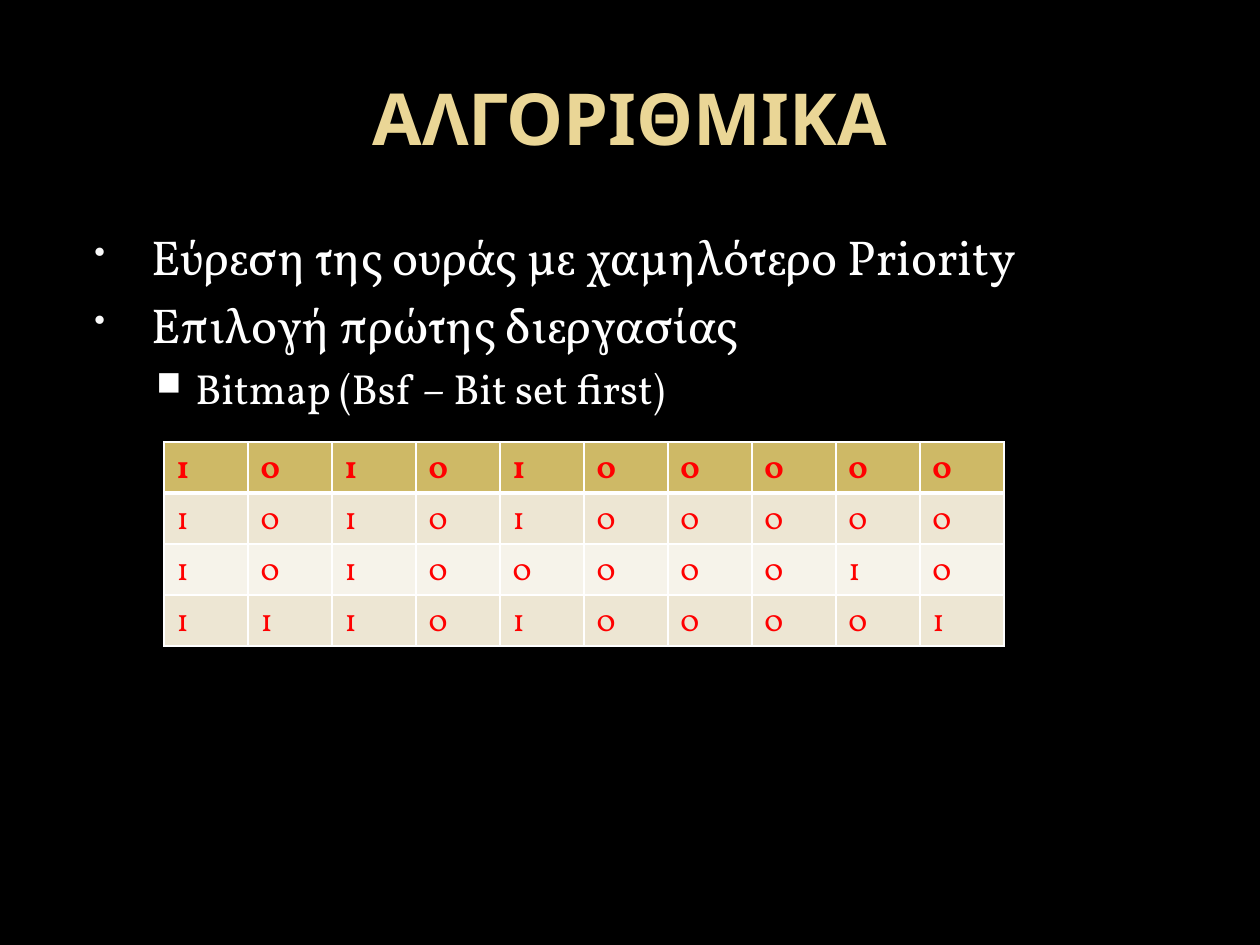
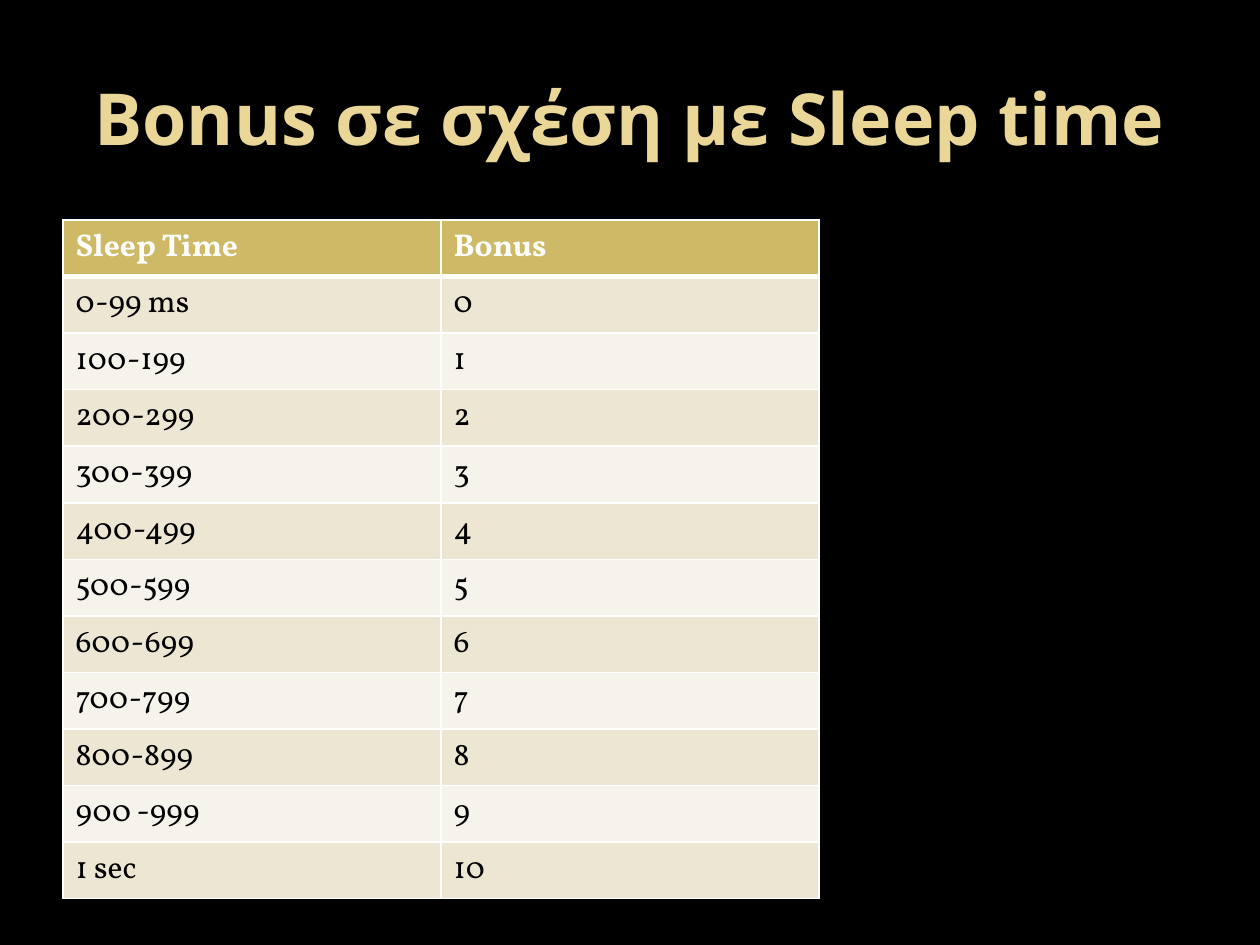
from lxml import etree
from pptx import Presentation
from pptx.dml.color import RGBColor
from pptx.enum.text import MSO_ANCHOR, PP_ALIGN
from pptx.oxml import parse_xml
from pptx.oxml.ns import nsdecls, qn
from pptx.util import Emu, Pt

# Content
BITMAP_TITLE = "ΑΛΓΟΡΙΘΜΙΚΑ"
STEPS = [  # level, text
    (0, "Εύρεση της ουράς με χαμηλότερο Priority"),
    (0, "Επιλογή πρώτης διεργασίας"),
    (1, "Bitmap (Bsf – Bit set first)"),
]
BITMAP = ["1010100000", "1010100000", "1010000010", "1110100001"]

BONUS_TITLE = "Bonus σε σχέση με Sleep time"
SLEEP_TIMES = ["0-99 ms", "100-199", "200-299", "300-399", "400-499", "500-599",
               "600-699", "700-799", "800-899", "900 -999", "1 sec"]
BONUS_ROWS = [("Sleep Time", "Bonus")] + [
    (time, str(bonus)) for bonus, time in enumerate(SLEEP_TIMES)]

# Shared style
BLACK = RGBColor(0x00, 0x00, 0x00)
WHITE = RGBColor(0xFF, 0xFF, 0xFF)
RED = RGBColor(0xFF, 0x00, 0x00)
CREAM = RGBColor(0xEA, 0xD6, 0x96)
GOLD = RGBColor(0xCE, 0xB9, 0x66)
BAND_DARK = RGBColor(0xED, 0xE6, 0xD3)
BAND_LIGHT = RGBColor(0xF6, 0xF3, 0xEA)
BULLET_GREY = RGBColor(0xF9, 0xF9, 0xF9)
TITLE_FONT, BODY_FONT = "Noto Sans", "Vollkorn"

# Per level: text size, left margin px, hanging indent px, bullet, its colour, its size %
LEVELS = [(28, 76, -57, "•", BULLET_GREY, 65),
          (24, 120, -39, "■", WHITE, 80)]

# Layout in px, 126 to the inch
SLIDE_W, SLIDE_H = 1260, 945
MARGIN, BODY_TOP = 63, 220
CONTENT_W = SLIDE_W - 2 * MARGIN
TITLE_BOX = (MARGIN, 38, CONTENT_W, 157)
BODY_BOX = (MARGIN, BODY_TOP, CONTENT_W, 649)
ROW_H = 51


def px(n):
    return Emu(round(n * 914400 / 126))


def style_runs(p, font, size, color, bold=False):
    for r in p.runs:
        r.font.name = font
        r.font.size = Pt(size)
        r.font.color.rgb = color
        r.font.bold = bold


def add_titled_slide(prs, title):
    s = prs.slides.add_slide(prs.slide_layouts[5])
    sp = s.shapes.title
    sp.left, sp.top, sp.width, sp.height = map(px, TITLE_BOX)
    tf = sp.text_frame
    tf.text = title
    tf.vertical_anchor = MSO_ANCHOR.MIDDLE
    p = tf.paragraphs[0]
    p.alignment = PP_ALIGN.CENTER
    style_runs(p, TITLE_FONT, 41, CREAM, bold=True)
    return s


def set_bullet(p, margin, indent, char, color, percent):
    pPr = p._p.get_or_add_pPr()
    pPr.set("marL", str(px(margin)))
    pPr.set("indent", str(px(indent)))
    before = etree.SubElement(pPr, qn("a:spcBef"))
    etree.SubElement(before, qn("a:spcPct"), val="20000")
    clr = etree.SubElement(pPr, qn("a:buClr"))
    etree.SubElement(clr, qn("a:srgbClr"), val=str(color))
    etree.SubElement(pPr, qn("a:buSzPct"), val=str(percent * 1000))
    etree.SubElement(pPr, qn("a:buChar"), char=char)


def add_bullets(s, items):
    tf = s.shapes.add_textbox(*map(px, BODY_BOX)).text_frame
    tf.word_wrap = True
    for i, (level, text) in enumerate(items):
        p = tf.add_paragraph() if i else tf.paragraphs[0]
        p.text = text
        p.level = level
        size, *bullet = LEVELS[level]
        set_bullet(p, *bullet)
        style_runs(p, BODY_FONT, size, WHITE)


def set_borders(cell, top, bottom):
    tcPr = cell._tc.get_or_add_tcPr()
    for side, width in (("L", 1), ("R", 1), ("T", top), ("B", bottom)):
        tcPr.append(parse_xml(
            f'<a:ln{side} {nsdecls("a")} w="{Pt(width)}"><a:solidFill>'
            f'<a:srgbClr val="{WHITE}"/></a:solidFill></a:ln{side}>'))


def add_banded_table(s, rows, left, top, col_w, head_color, text_color):
    n_rows, n_cols = len(rows), len(rows[0])
    table = s.shapes.add_table(n_rows, n_cols, px(left), px(top),
                               px(col_w * n_cols), px(ROW_H * n_rows)).table
    for i, row in enumerate(rows):
        is_head = i == 0
        fill = GOLD if is_head else BAND_DARK if i % 2 else BAND_LIGHT
        for j, text in enumerate(row):
            cell = table.cell(i, j)
            set_borders(cell, top=3 if i == 1 else 1, bottom=3 if is_head else 1)
            cell.fill.solid()
            cell.fill.fore_color.rgb = fill
            cell.text_frame.text = text
            style_runs(cell.text_frame.paragraphs[0], BODY_FONT, 18,
                       head_color if is_head else text_color, bold=is_head)


def main():
    prs = Presentation()
    prs.slide_width, prs.slide_height = px(SLIDE_W), px(SLIDE_H)
    background = prs.slide_master.background.fill
    background.solid()
    background.fore_color.rgb = BLACK

    # Slide 1: steps and priority bitmap
    s = add_titled_slide(prs, BITMAP_TITLE)
    add_bullets(s, STEPS)
    add_banded_table(s, BITMAP, 164, 442, 84, RED, RED)

    # Slide 2: bonus for each sleep time
    s = add_titled_slide(prs, BONUS_TITLE)
    add_banded_table(s, BONUS_ROWS, MARGIN, BODY_TOP, 378, WHITE, BLACK)

    prs.save("out.pptx")


if __name__ == "__main__":
    main()
